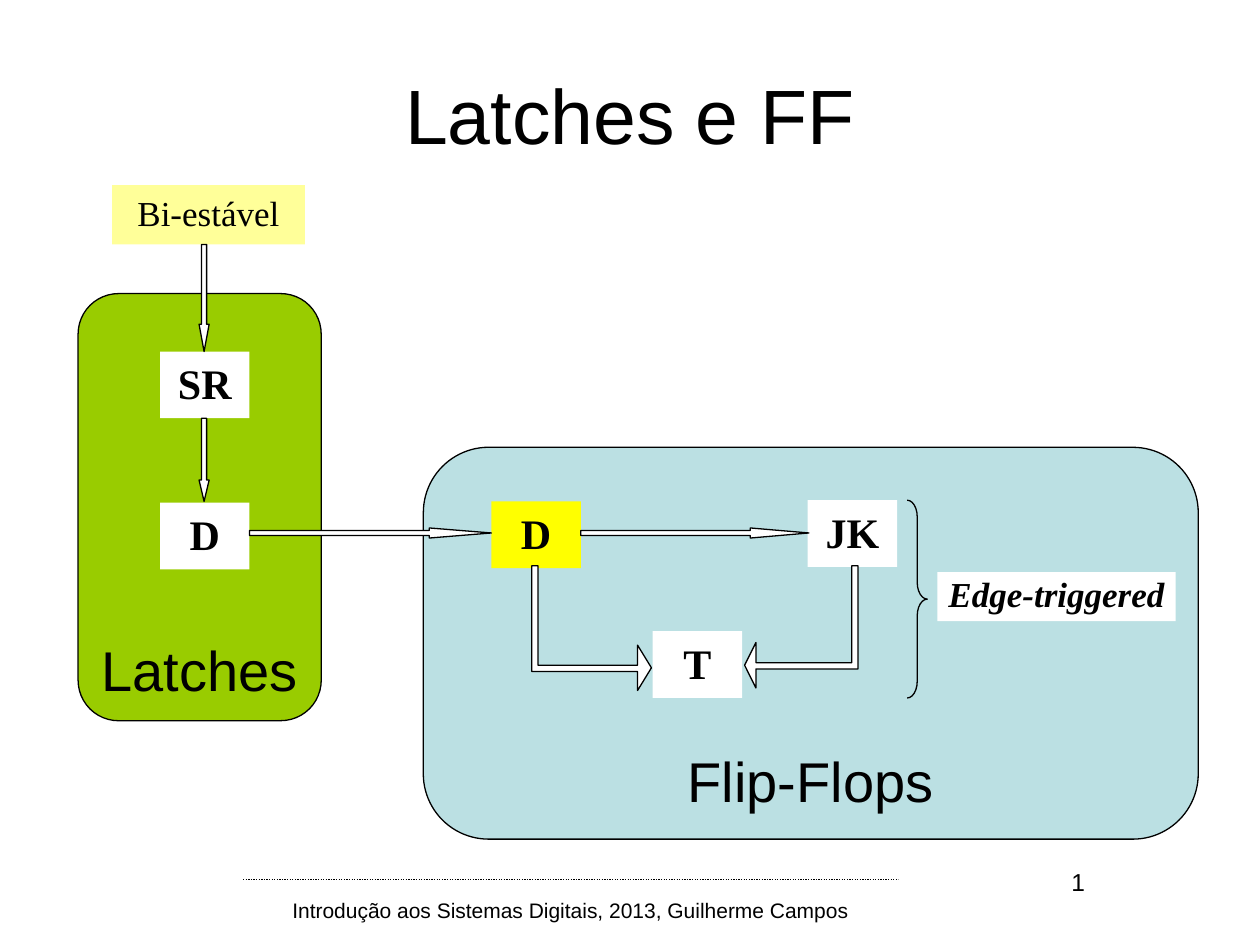
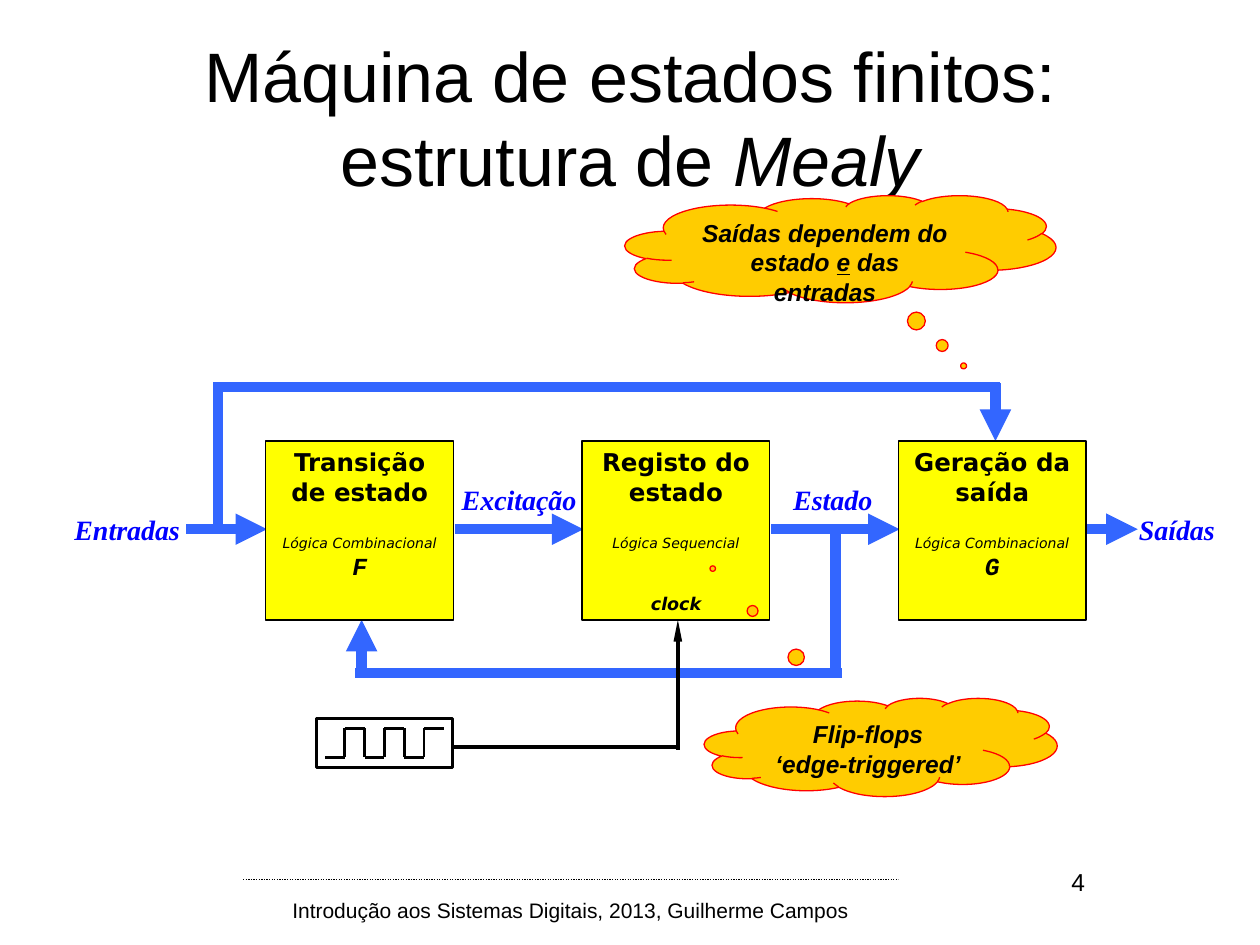
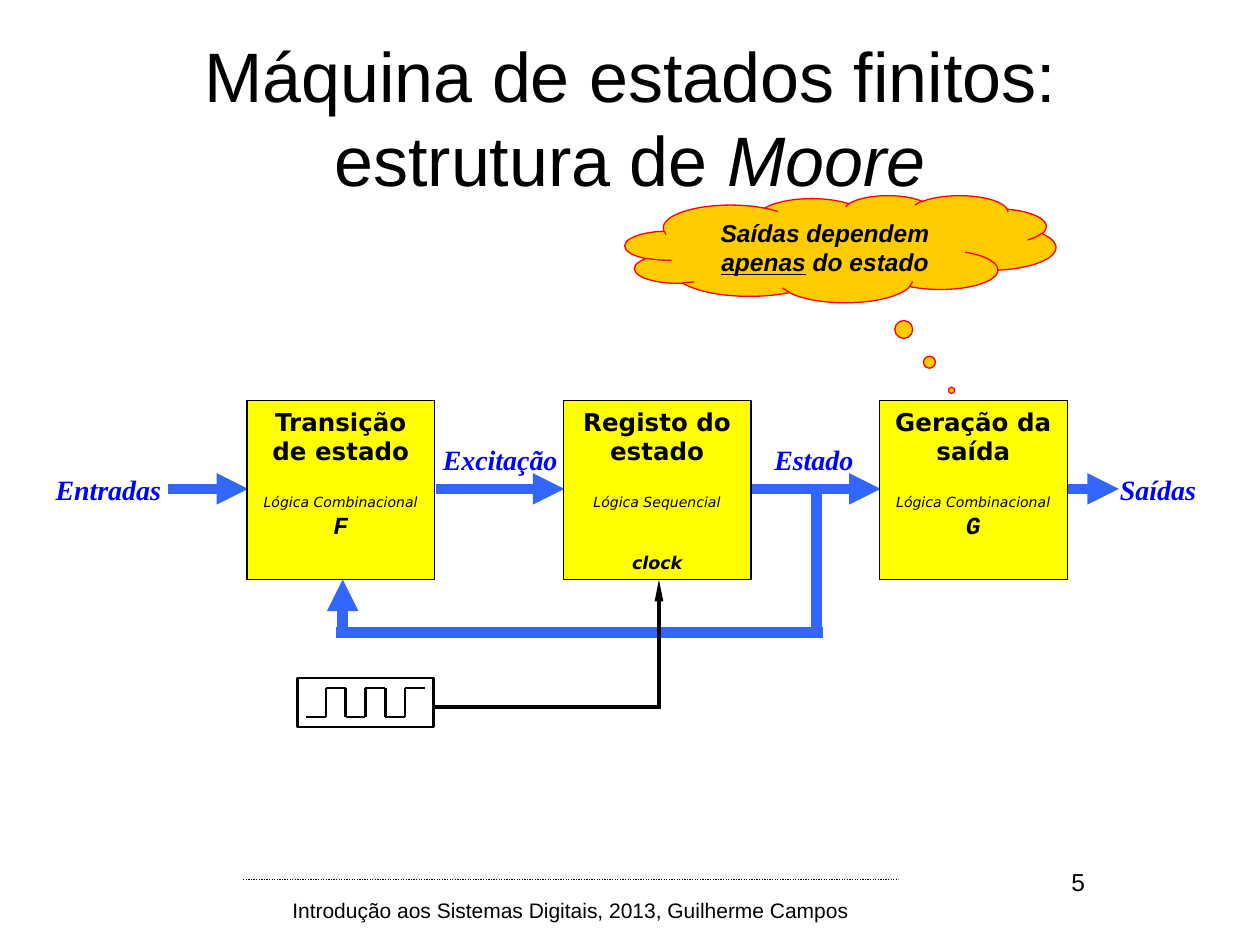
from lxml.etree import SubElement
from pptx import Presentation
from pptx.dml.color import RGBColor
from pptx.enum.dml import MSO_LINE
from pptx.enum.shapes import MSO_CONNECTOR, MSO_SHAPE
from pptx.enum.text import MSO_ANCHOR, MSO_AUTO_SIZE, PP_ALIGN
from pptx.oxml.ns import qn
from pptx.util import Inches, Pt

BLACK = RGBColor(0x00, 0x00, 0x00)
WHITE = RGBColor(0xFF, 0xFF, 0xFF)
GREEN = RGBColor(0x99, 0xCC, 0x00)
PALE_BLUE = RGBColor(0xBB, 0xE0, 0xE3)
PALE_YELLOW = RGBColor(0xFF, 0xFF, 0x99)
YELLOW = RGBColor(0xFF, 0xFF, 0x00)
ORANGE = RGBColor(0xFF, 0xCC, 0x00)
RED = RGBColor(0xFF, 0x00, 0x00)
FLOW_BLUE = RGBColor(0x33, 0x66, 0xFF)
LABEL_BLUE = RGBColor(0x00, 0x00, 0xFF)

SANS, SERIF, BLOCK_FONT, MONO = "Arial", "Times New Roman", "DejaVu Sans", "Courier New"
FOOTER = "Introdução aos Sistemas Digitais, 2013, Guilherme Campos"


def add_box(slide, box, text="", kind=None, fill=None, line=None, line_width=0.75,
            font=SANS, size=14, color=BLACK, bold=False, italic=False,
            align=PP_ALIGN.CENTER, anchor=MSO_ANCHOR.TOP, wrap=True, inset=True):
    """Add a preset shape, or a text box when no kind is given, with styled text."""
    lengths = [Inches(value) for value in box]
    if kind is None:
        shape = slide.shapes.add_textbox(*lengths)
    else:
        shape = slide.shapes.add_shape(kind, *lengths)
        shape.shadow.inherit = False
        if fill is None:
            shape.fill.background()
        else:
            shape.fill.solid()
            shape.fill.fore_color.rgb = fill
        if line is None:
            shape.line.fill.background()
        else:
            shape.line.color.rgb = line
            shape.line.width = Pt(line_width)
    if text:
        frame = shape.text_frame
        frame.text = text
        frame.word_wrap = wrap
        frame.vertical_anchor = anchor
        if not inset:
            frame.margin_left = frame.margin_right = 0
            frame.margin_top = frame.margin_bottom = 0
        for paragraph in frame.paragraphs:
            paragraph.alignment = align
            paragraph.font.name = font
            paragraph.font.size = Pt(size)
            paragraph.font.bold = bold
            paragraph.font.italic = italic
            paragraph.font.color.rgb = color
    return shape


def add_line(slide, start, end, color, width, head=None):
    """Add a straight line; head is the (width, length) of an arrowhead at its end."""
    points = [Inches(value) for value in (*start, *end)]
    connector = slide.shapes.add_connector(MSO_CONNECTOR.STRAIGHT, *points)
    connector.line.color.rgb = color
    connector.line.width = Pt(width)
    if head:
        SubElement(connector.line._get_or_add_ln(), qn("a:tailEnd"),
                   type="triangle", w=head[0], len=head[1])
    SubElement(connector.element.spPr, qn("a:effectLst"))
    return connector


presentation = Presentation()
presentation.slide_width = Inches(10)
presentation.slide_height = Inches(7.5)
layout = presentation.slide_layouts[5]

# Shared parts: title, footer and page number on every slide
slides = []
for number, title_top, title_size, title_text, title_emphasis in [
    (1, 0.28, 44, "Latches e FF", ""),
    (4, 0.3, 40, "Máquina de estados finitos: estrutura de ", "Mealy"),
    (5, 0.3, 40, "Máquina de estados finitos: estrutura de ", "Moore"),
]:
    slide = presentation.slides.add_slide(layout)
    slides.append(slide)
    title = slide.shapes.title
    title.left, title.top = Inches(0.5), Inches(title_top)
    title.width, title.height = Inches(9), Inches(1.25)
    title.text_frame.text = title_text
    title.text_frame.auto_size = MSO_AUTO_SIZE.NONE
    title.text_frame.vertical_anchor = MSO_ANCHOR.MIDDLE
    paragraph = title.text_frame.paragraphs[0]
    paragraph.alignment = PP_ALIGN.CENTER
    paragraph.font.name = SANS
    paragraph.font.size = Pt(title_size)
    paragraph.font.color.rgb = BLACK
    if title_emphasis:
        run = paragraph.add_run()
        run.text = title_emphasis
        run.font.italic = True
    add_box(slide, (2.01, 7.07, 5.04, 0.31), FOOTER, size=12)
    add_box(slide, (7.52, 6.83, 1.19, 0.52), str(number), align=PP_ALIGN.RIGHT)

# The dotted rule above the footer belongs to the layout
footer_rule = add_line(slides[0], (1.93, 6.98), (7.13, 6.98), BLACK, 0.75)
footer_rule.line.dash_style = MSO_LINE.ROUND_DOT
layout.shapes.element.append(footer_rule.element)

# Slide 1: from the bistable to latches and flip-flops
overview = slides[0]
for box, name, fill in [
    ((0.62, 2.33, 1.93, 3.39), "Latches", GREEN),
    ((3.36, 3.55, 6.15, 3.11), "Flip-Flops", PALE_BLUE),
]:
    add_box(overview, box, name, MSO_SHAPE.ROUNDED_RECTANGLE, fill, BLACK,
            size=32, anchor=MSO_ANCHOR.BOTTOM, wrap=False)

add_box(overview, (0.89, 1.47, 1.53, 0.47), "Bi-estável", MSO_SHAPE.RECTANGLE,
        PALE_YELLOW, font=SERIF, size=20)
for left, top, name, fill in [
    (1.27, 2.79, "SR", WHITE),
    (1.27, 3.99, "D", WHITE),
    (6.41, 3.97, "JK", WHITE),
    (3.9, 3.98, "D", YELLOW),
    (5.18, 5.01, "T", WHITE),
]:
    add_box(overview, (left, top, 0.71, 0.53), name, MSO_SHAPE.RECTANGLE, fill,
            font=SERIF, size=24, bold=True)
add_box(overview, (7.44, 4.54, 1.89, 0.39), "Edge-triggered", MSO_SHAPE.RECTANGLE,
        WHITE, font=SERIF, size=20, bold=True, italic=True, inset=False)
brace = add_box(overview, (7.2, 3.97, 0.16, 1.57), kind=MSO_SHAPE.RIGHT_BRACE, line=BLACK)
brace.adjustments[0] = 0.83

for kind, box, head_ratio in [
    (MSO_SHAPE.DOWN_ARROW, (1.58, 3.32, 0.08, 0.66), 2.12),
    (MSO_SHAPE.DOWN_ARROW, (1.58, 1.94, 0.08, 0.85), 2.71),
    (MSO_SHAPE.RIGHT_ARROW, (1.98, 4.19, 1.92, 0.08), 6.16),
    (MSO_SHAPE.RIGHT_ARROW, (4.61, 4.19, 1.81, 0.08), 5.81),
]:
    arrow = add_box(overview, box, kind=kind, fill=WHITE, line=BLACK)
    arrow.adjustments[1] = head_ratio

# Bent arrows into T, one from each side
for side, outer, neck, tip, bottom in [
    (1, 4.22, 5.06, 5.17, 5.33),
    (-1, 6.81, 6.0, 5.91, 5.31),
]:
    inner, top, middle = outer + 0.05 * side, 4.49, bottom - 0.03
    outline = [
        (tip, middle), (neck, middle - 0.18), (neck, bottom - 0.05),
        (inner, bottom - 0.05), (inner, top), (outer, top),
        (outer, bottom), (neck, bottom), (neck, middle + 0.18),
    ]
    points = [(Inches(x), Inches(y)) for x, y in outline]
    builder = overview.shapes.build_freeform(*points[0])
    builder.add_line_segments(points[1:], close=True)
    bent_arrow = builder.convert_to_shape()
    bent_arrow.shadow.inherit = False
    bent_arrow.fill.solid()
    bent_arrow.fill.fore_color.rgb = WHITE
    bent_arrow.line.color.rgb = BLACK
    bent_arrow.line.width = Pt(0.75)

# Slides 2 and 3: the same state machine, moved by (dx, dy)
FLOW_HEAD, CLOCK_HEAD = ("med", "med"), ("sm", "lg")
FLOWS = [
    (3.61, 4.2, 4.63, 4.2, FLOW_HEAD),
    (6.12, 4.2, 7.14, 4.2, FLOW_HEAD),
    (1.48, 4.2, 2.12, 4.2, FLOW_HEAD),
    (8.63, 4.2, 9.03, 4.2, FLOW_HEAD),
    (2.82, 5.34, 6.68, 5.34, None),
    (6.63, 5.37, 6.63, 4.19, None),
    (2.87, 5.34, 2.87, 4.92, FLOW_HEAD),
]
INPUT_TO_OUTPUT = [
    (1.73, 4.21, 1.73, 3.03, None),
    (1.7, 3.07, 7.94, 3.07, None),
    (7.9, 3.04, 7.9, 3.5, FLOW_HEAD),
]
CLOCK_WIRES = [
    (5.38, 5.95, 5.38, 4.92, CLOCK_HEAD),
    (3.59, 5.93, 5.38, 5.93, None),
]
LABELS = [
    (8.9, 4.02, 0.88, "Saídas", True),
    (3.49, 3.83, 1.26, "Excitação", False),
    (6.11, 3.83, 1.0, "Estado", False),
    (0.46, 4.02, 1.1, "Entradas", True),
]
BLOCKS = [
    ("Transição de estado", "Lógica Combinacional", "F"),
    ("Registo do estado", "Lógica Sequencial", "clock"),
    ("Geração da saída", "Lógica Combinacional", "G"),
]
WAVE_POINTS = []
for step in range(6):
    level = 5.78 if step % 2 else 6.01
    WAVE_POINTS += [(2.58 + 0.157 * step, level), (2.58 + 0.157 * (step + 1), level)]

for slide, dx, dy, extra_flows in [
    (slides[1], 0, 0, INPUT_TO_OUTPUT),
    (slides[2], -0.15, -0.32, []),
]:
    for wires, color, width in [(FLOWS + extra_flows, FLOW_BLUE, 6), (CLOCK_WIRES, BLACK, 2.5)]:
        for x1, y1, x2, y2, head in wires:
            add_line(slide, (x1 + dx, y1 + dy), (x2 + dx, y2 + dy), color, width, head)
    for (x1, y1), (x2, y2) in zip(WAVE_POINTS, WAVE_POINTS[1:]):
        add_line(slide, (x1 + dx, y1 + dy), (x2 + dx, y2 + dy), BLACK, 1.5)
    add_box(slide, (2.51 + dx, 5.7 + dy, 1.08, 0.39), kind=MSO_SHAPE.RECTANGLE,
            line=BLACK, line_width=1.5)
    for left, top, width, label, inset in LABELS:
        add_box(slide, (left + dx, top + dy, width, 0.34), label, font=SERIF, size=16,
                color=LABEL_BLUE, bold=True, italic=True, inset=inset)
    for column, (name, logic, last) in enumerate(BLOCKS):
        block = add_box(slide, (2.11 + 2.51 * column + dx, 3.5 + dy, 1.49, 1.42),
                        "\n".join((name, logic, last)), MSO_SHAPE.RECTANGLE,
                        YELLOW, BLACK, font=BLOCK_FONT, bold=True)
        logic_line, last_line = block.text_frame.paragraphs[1:]
        logic_line.space_before = Pt(16)
        logic_line.font.size = Pt(8)
        logic_line.font.bold = False
        logic_line.font.italic = last_line.font.italic = True
        if last == "clock":
            last_line.space_before = Pt(24)
            last_line.font.size = Pt(10)
        else:
            last_line.font.name = MONO

# Thought clouds: text before, underlined and after
for slide, box, pointer, before, underlined, after in [
    (slides[1], (4.96, 1.55, 3.42, 0.85), (0.286, 1.093),
     "Saídas dependem do estado ", "e", " das entradas"),
    (slides[1], (5.59, 5.54, 2.8, 0.78), (-0.476, -1.818),
     "Flip-flops\n‘edge-triggered’", "", ""),
    (slides[2], (4.96, 1.55, 3.42, 0.85), (0.258, 1.321),
     "Saídas dependem ", "apenas", " do estado"),
]:
    cloud = add_box(slide, box, before, MSO_SHAPE.CLOUD_CALLOUT, ORANGE, RED,
                    bold=True, italic=True)
    cloud.adjustments[0], cloud.adjustments[1] = pointer
    if underlined:
        paragraph = cloud.text_frame.paragraphs[0]
        run = paragraph.add_run()
        run.text = underlined
        run.font.underline = True
        paragraph.add_run().text = after

presentation.save("out.pptx")
